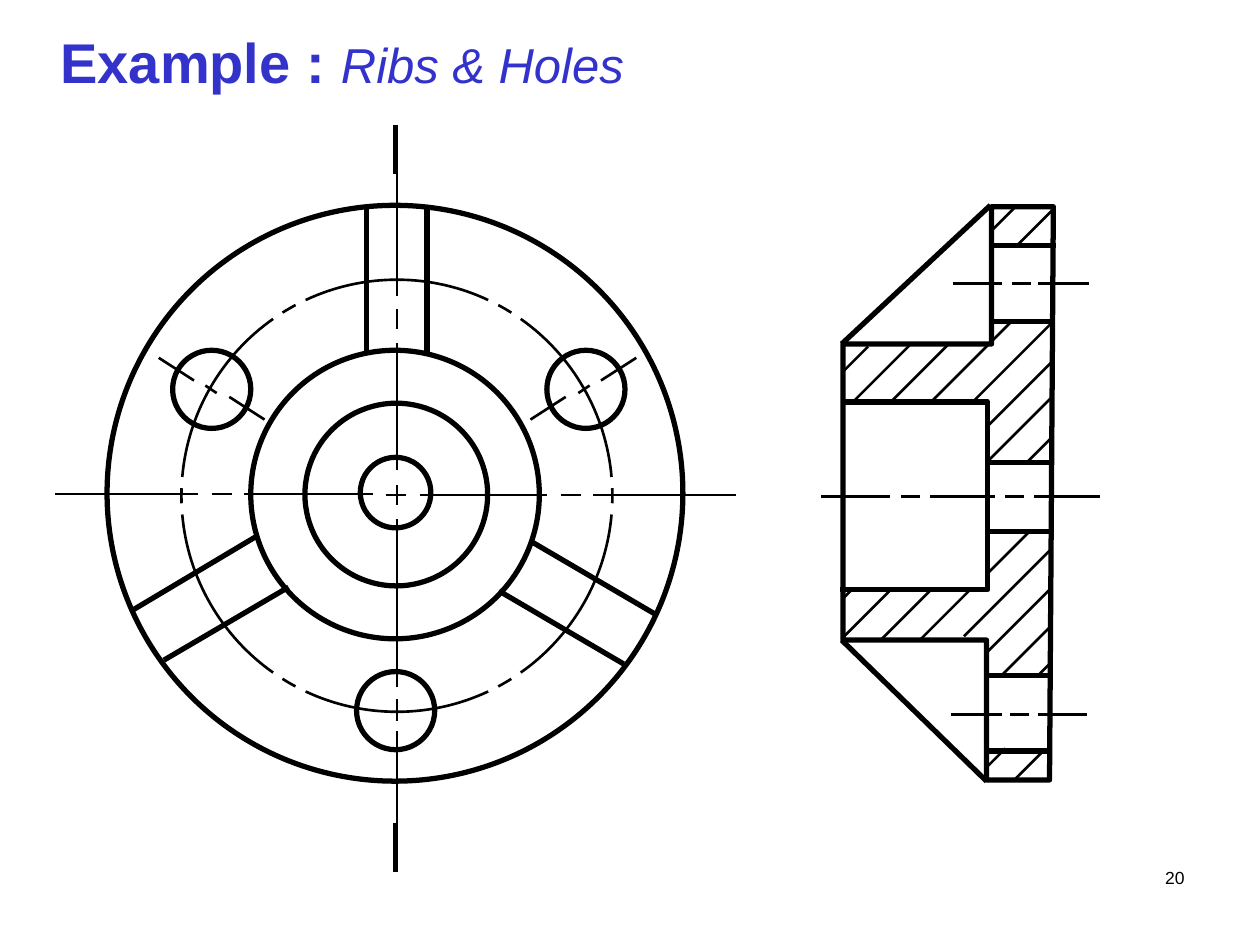
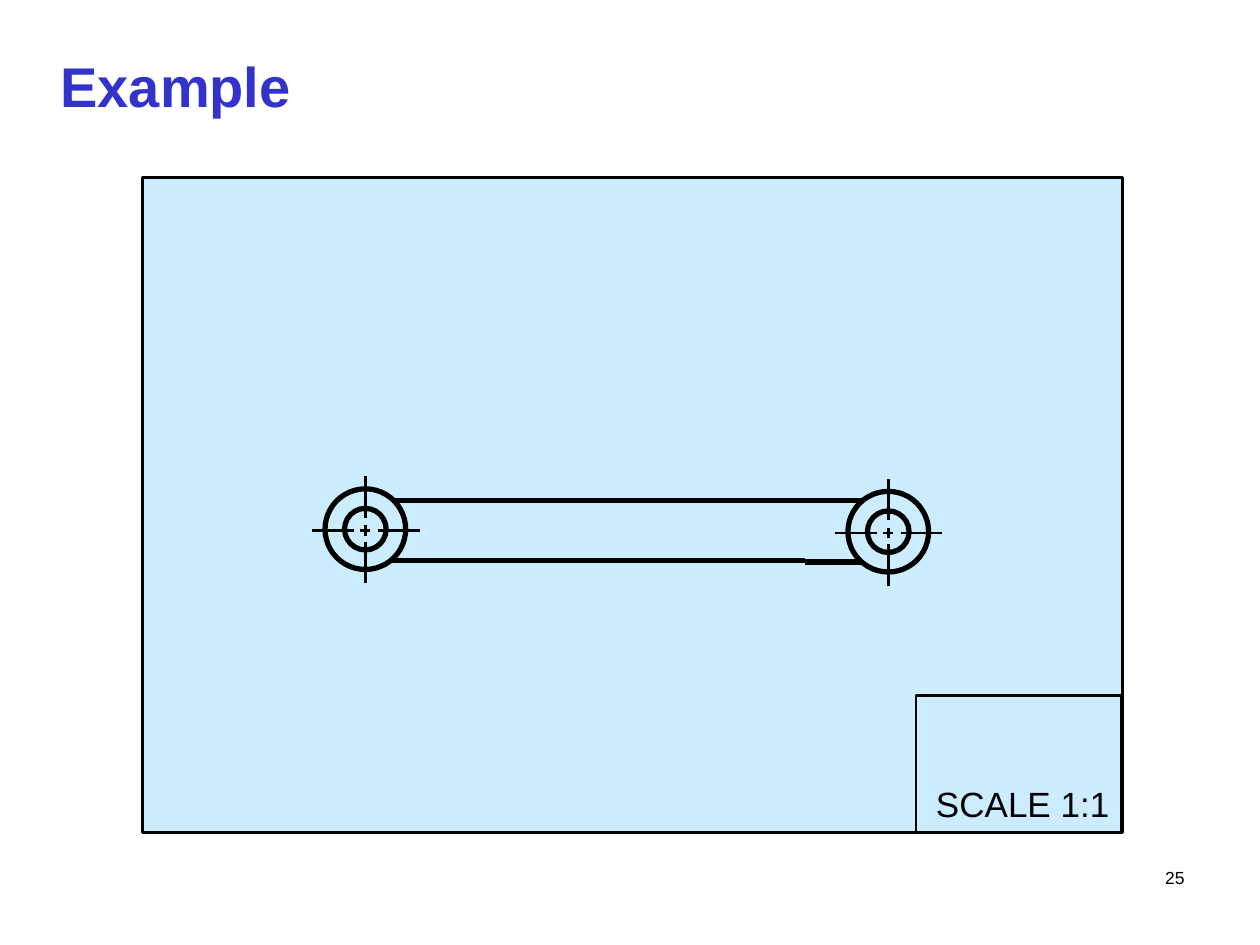
"""Build two drafting example slides: a ribbed flange in section and a link arm."""
from lxml import etree
from pptx import Presentation
from pptx.dml.color import RGBColor
from pptx.enum.shapes import MSO_CONNECTOR, MSO_SHAPE
from pptx.enum.text import MSO_ANCHOR, MSO_AUTO_SIZE, PP_ALIGN
from pptx.oxml.ns import qn
from pptx.util import Inches, Pt

STRAIGHT = MSO_CONNECTOR.STRAIGHT
OVAL = MSO_SHAPE.OVAL
RECT = MSO_SHAPE.RECTANGLE
ARC = MSO_SHAPE.ARC
TOP = MSO_ANCHOR.TOP
FIXED = MSO_AUTO_SIZE.NONE
LEFT = PP_ALIGN.LEFT
RIGHT = PP_ALIGN.RIGHT

BLACK = RGBColor(0x00, 0x00, 0x00)
BLUE = RGBColor(0x33, 0x33, 0xCC)
SKY = RGBColor(0xCC, 0xEC, 0xFF)
FONT = "Arial"
THICK = Pt(3)
THIN = Pt(1.5)
DEGREE = 0.6


def line(slide, x1, y1, x2, y2, width=THIN):
    edge = slide.shapes.add_connector(
        STRAIGHT, Inches(x1), Inches(y1), Inches(x2), Inches(y2))
    edge.line.color.rgb = BLACK
    edge.line.width = width
    etree.SubElement(edge.element.spPr, qn("a:effectLst"))


def style(shape, width=THICK, fill=None):
    shape.shadow.inherit = False
    shape.line.color.rgb = BLACK
    shape.line.width = width
    if fill is None:
        shape.fill.background()
    else:
        shape.fill.solid()
        shape.fill.fore_color.rgb = fill


prs = Presentation()
prs.slide_width = Inches(10)
prs.slide_height = Inches(7.5)

slides = []
for top, wide, number, parts in [
    (0.17, 4.8, "20", [("Example : ", 32, True), ("Ribs & Holes", 28, False)]),
    (0.36, 2.15, "25", [("Example", 32, True)]),
]:
    slide = prs.slides.add_slide(prs.slide_layouts[5])
    slides.append(slide)
    title = slide.shapes.title
    title.left, title.top = Inches(0.38), Inches(top)
    title.width, title.height = Inches(wide), Inches(0.64)
    frame = title.text_frame
    frame.word_wrap = False
    frame.auto_size = FIXED
    frame.vertical_anchor = TOP
    para = frame.paragraphs[0]
    para.alignment = LEFT
    for text, size, bold in parts:
        run = para.add_run()
        run.text = text
        run.font.name = FONT
        run.font.size = Pt(size)
        run.font.bold = bold
        run.font.italic = not bold
        run.font.color.rgb = BLUE
    box = slide.shapes.add_textbox(
        Inches(7.17), Inches(6.83), Inches(2.33), Inches(0.5))
    box.text_frame.word_wrap = True
    para = box.text_frame.paragraphs[0]
    para.text = number
    para.alignment = RIGHT
    para.font.name = FONT
    para.font.size = Pt(10)
    para.font.color.rgb = BLACK

flange, link = slides

panel = link.shapes.add_shape(
    RECT, Inches(1.13), Inches(1.41), Inches(7.78), Inches(5.2))
style(panel, THIN, SKY)
block = link.shapes.add_shape(
    RECT, Inches(7.27), Inches(5.52), Inches(1.63), Inches(1.09))
style(block, THIN)

eyes = [(2.9, 4.2), (7.05, 4.22)]
rings = [
    (flange, 0.85, 1.63, 4.57),
    (flange, 1.37, 2.78, 0.62),
    (flange, 4.34, 2.78, 0.62),
    (flange, 2.83, 5.33, 0.62),
    (flange, 1.99, 2.78, 2.29),
    (flange, 2.42, 3.2, 1.45),
    (flange, 2.86, 3.63, 0.56),
]
rings += [(link, x - size / 2, y - size / 2, size)
          for x, y in eyes for size in (0.33, 0.64)]
for slide, x, y, size in rings:
    ring = slide.shapes.add_shape(
        OVAL, Inches(x), Inches(y), Inches(size), Inches(size))
    style(ring)

solid = [
    (3.96, 4.69, 4.95, 5.27),
    (4.22, 4.3, 5.21, 4.88),
    (2.29, 4.66, 1.3, 5.24),
    (2.03, 4.26, 1.04, 4.85),
    (2.91, 1.64, 2.91, 2.81),
    (3.39, 1.64, 3.39, 2.81),
    (6.68, 2.73, 7.86, 1.63),
    (6.68, 5.08, 7.83, 6.2),
    (3.14, 1.38, 3.14, 0.99),
    (3.14, 6.92, 3.14, 6.53),
]
bores = [(7.83, 5.36), (7.82, 5.96), (7.86, 1.95), (7.85, 2.55),
         (7.84, 3.67), (7.83, 4.22)]
solid += [(x, y, x + 0.52, y) for x, y in bores]
for ends in solid:
    line(flange, *ends, THICK)

hatch = [
    (7.86, 1.84, 0.2), (8.07, 1.95, 0.29), (6.69, 2.95, 0.2),
    (6.77, 3.19, 0.45), (7.07, 3.19, 0.45), (7.39, 3.19, 0.46),
    (7.71, 3.2, 0.65), (7.84, 3.38, 0.52), (7.84, 3.66, 0.5),
    (8.15, 3.67, 0.2), (7.87, 2.71, 0.15), (6.69, 4.75, 0.07),
    (6.68, 5.07, 0.39), (7, 5.07, 0.39), (7.3, 5.08, 0.4),
    (7.65, 5.05, 0.68), (7.84, 5.17, 0.5), (7.95, 5.36, 0.39),
    (8.25, 5.35, 0.08), (7.84, 4.55, 0.33), (7.84, 6.08, 0.14),
    (8.05, 6.19, 0.22),
]
for x, y, run in hatch:
    line(flange, x, y, x + run, y - run)

rows = [
    (2.25, [(7.56, 7.95), (8.03, 8.18), (8.24, 8.64)]),
    (5.67, [(7.55, 7.95), (8.02, 8.17), (8.24, 8.63)]),
    (3.94, [(6.52, 7.06), (7.15, 7.3), (7.38, 7.9), (7.98, 8.13), (8.21, 8.73)]),
    (3.93, [(3.06, 3.22), (3.33, 4.34), (4.45, 4.61), (4.71, 5.84)]),
    (3.92, [(0.44, 1.57), (1.68, 1.84), (1.94, 2.96)]),
]
for y, spans in rows:
    for x1, x2 in spans:
        line(flange, x1, y, x2, y)

for y1, y2 in [(1.22, 2.35), (2.45, 2.61), (2.72, 3.73), (3.85, 4.01),
               (4.12, 5.45), (5.55, 5.72), (5.8, 6.66)]:
    line(flange, 3.15, y1, 3.15, y2)

for x1, y1, x2, y2 in [(4.59, 3.12, 4.68, 3.06), (4.77, 3.02, 5.05, 2.84),
                       (4.21, 3.33, 4.49, 3.15)]:
    line(flange, x1, y1, x2, y2)
    line(flange, 6.31 - x1, y1, 6.31 - x2, y2)

body = [(8.33, 6.19), (7.83, 6.19), (7.83, 5.08), (6.69, 5.08),
        (6.69, 2.73), (7.87, 2.73), (7.87, 1.64), (8.36, 1.64)]
recess = [(6.68, 3.19), (7.84, 3.19), (7.84, 4.68), (6.67, 4.68)]
for points, closed in [(body, True), (recess, False)]:
    spots = [(Inches(x), Inches(y)) for x, y in points]
    pen = flange.shapes.build_freeform(*spots[0])
    pen.add_line_segments(spots[1:], close=closed)
    style(pen.convert_to_shape())

for turn in range(0, 360, 60):
    for start, end in [(-2, 2), (5, 55)]:
        arc = flange.shapes.add_shape(
            ARC, Inches(1.44), Inches(2.22), Inches(3.42), Inches(3.43))
        arc.adjustments[0] = (turn + start) % 360 * DEGREE
        arc.adjustments[1] = (turn + end) % 360 * DEGREE
        style(arc, THIN)

for x1, x2, low in [(3.11, 3.55, 4.45), (3.55, 6.39, 4.45), (6.39, 6.84, 4.46)]:
    for y in (3.97, low):
        line(link, x1, y, x2, y, THICK)
for x, y in eyes:
    mid = y + 0.01
    for a, b in [(-0.42, -0.09), (-0.04, 0.04), (0.1, 0.43)]:
        line(link, x + a, mid, x + b, mid)
        line(link, x, mid - a, x, mid - b)

box = link.shapes.add_textbox(
    Inches(7.33), Inches(6.16), Inches(1.65), Inches(0.44))
box.text_frame.word_wrap = False
para = box.text_frame.paragraphs[0]
para.text = "SCALE 1:1"
para.font.name = FONT
para.font.size = Pt(20)
para.font.color.rgb = BLACK

prs.save("out.pptx")
